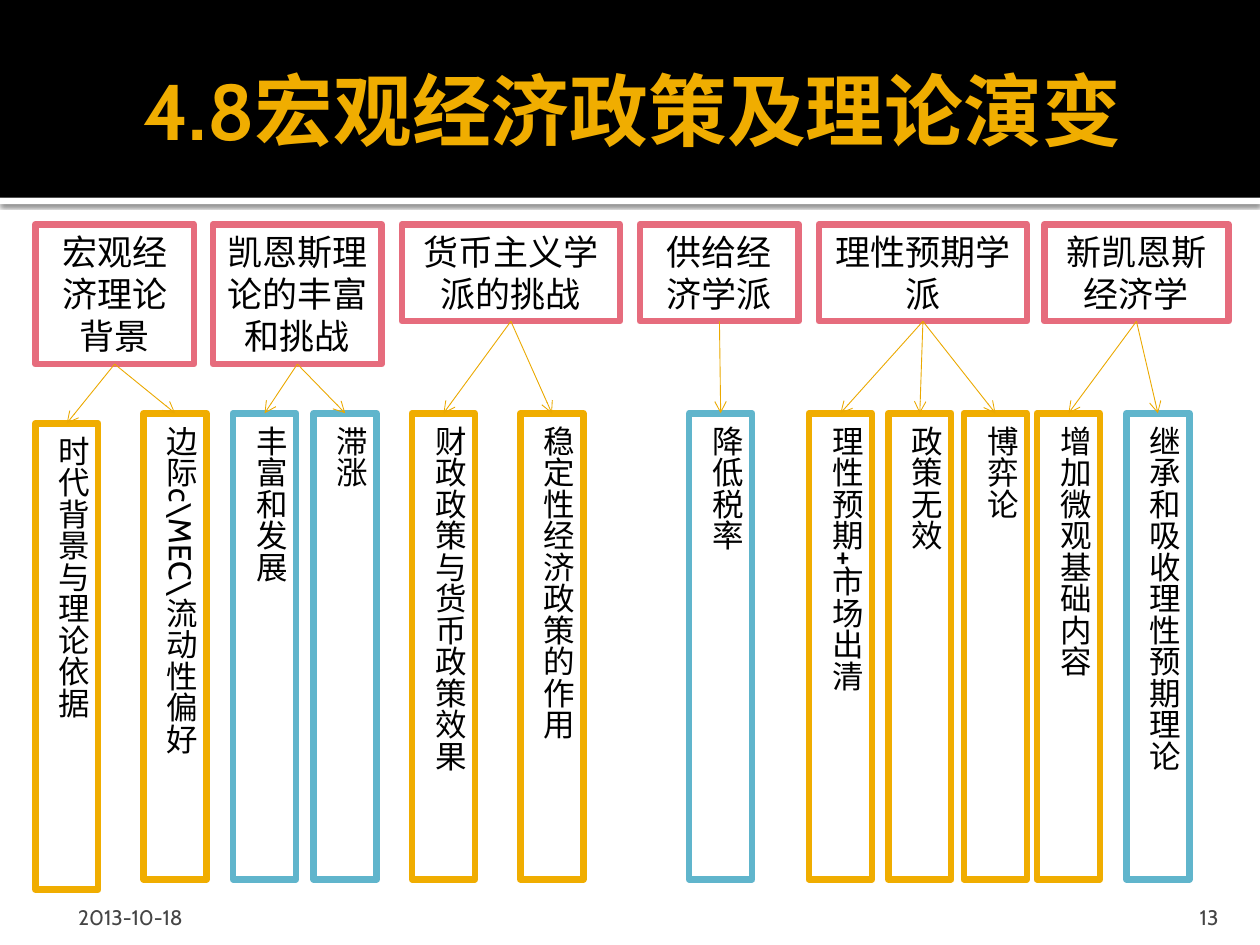
from dataclasses import dataclass

from lxml.etree import SubElement
from pptx import Presentation
from pptx.dml.color import RGBColor
from pptx.enum.shapes import MSO_CONNECTOR, MSO_SHAPE
from pptx.enum.text import MSO_ANCHOR, MSO_AUTO_SIZE, PP_ALIGN
from pptx.oxml.ns import qn
from pptx.shapes.autoshape import Shape
from pptx.slide import Slide
from pptx.text.text import TextFrame
from pptx.util import Inches, Pt

FONT = "Cabin"
BLACK, WHITE, GREY = "000000", "FFFFFF", "454545"
PINK, GOLD, BLUE, ARROW_GOLD = "E66C7D", "F0AD00", "60B5CC", "EBA900"

SCHOOL_TOP = 1.78
TOPIC_WIDTH, TOPIC_HEIGHT = 0.5, 3.7


@dataclass
class Topic:
    text: str
    left: float
    color: str = GOLD
    top: float = 3.28


@dataclass
class School:
    text: str
    left: float
    width: float
    height: float
    topics: list[Topic]


SCHOOLS = [
    School("宏观经济理论背景", 0.28, 1.26, 1.11, [
        Topic("时代背景与理论依据", 0.28, top=3.36),
        Topic("边际c\\MEC\\流动性偏好", 1.14)]),
    School("凯恩斯理论的丰富和挑战", 1.69, 1.34, 1.11, [
        Topic("丰富和发展", 1.85, BLUE),
        Topic("滞涨", 2.49, BLUE)]),
    School("货币主义学派的挑战", 3.19, 1.73, 0.77, [
        Topic("财政政策与货币政策效果", 3.27),
        Topic("稳定性经济政策的作用", 4.13)]),
    School("供给经济学派", 5.08, 1.26, 0.77, [
        Topic("降低税率", 5.47, BLUE)]),
    School("理性预期学派", 6.5, 1.65, 0.77, [
        Topic("理性预期+市场出清", 6.42),
        Topic("政策无效", 7.05),
        Topic("博弈论", 7.65)]),
    School("新凯恩斯经济学", 8.29, 1.46, 0.77, [
        Topic("增加微观基础内容", 8.23),
        Topic("继承和吸收理性预期理论", 8.94, BLUE)]),
]


def rgb(color: str) -> RGBColor:
    return RGBColor.from_string(color)


def write(frame: TextFrame, text: str, size: float, color: str,
          align: PP_ALIGN, bold: bool = False) -> None:
    frame.text = text
    frame.word_wrap = True
    paragraph = frame.paragraphs[0]
    paragraph.alignment = align
    font = paragraph.runs[0].font
    font.name, font.size, font.bold = FONT, Pt(size), bold
    font.color.rgb = rgb(color)


def set_insets(frame: TextFrame, left: float, top: float,
               right: float, bottom: float) -> None:
    frame.margin_left, frame.margin_top = Inches(left), Inches(top)
    frame.margin_right, frame.margin_bottom = Inches(right), Inches(bottom)


def add_rectangle(slide: Slide, left: float, top: float, width: float,
                  height: float, fill: str) -> Shape:
    rectangle = slide.shapes.add_shape(
        MSO_SHAPE.RECTANGLE, Inches(left), Inches(top), Inches(width), Inches(height))
    rectangle.shadow.inherit = False
    rectangle.fill.solid()
    rectangle.fill.fore_color.rgb = rgb(fill)
    rectangle.line.fill.background()
    return rectangle


def add_framed_text(slide: Slide, left: float, top: float, width: float, height: float,
                    border: str, text: str, size: float, align: PP_ALIGN) -> Shape:
    box = add_rectangle(slide, left, top, width, height, WHITE)
    box.line.color.rgb = rgb(border)
    box.line.width = Pt(3.78)
    write(box.text_frame, text, size, BLACK, align)
    box.text_frame.vertical_anchor = MSO_ANCHOR.TOP
    box.text_frame.auto_size = MSO_AUTO_SIZE.SHAPE_TO_FIT_TEXT
    return box


def add_arrow(slide: Slide, school_box: Shape, topic_box: Shape) -> None:
    arrow = slide.shapes.add_connector(MSO_CONNECTOR.STRAIGHT, 0, 0, 0, 0)
    arrow.begin_connect(school_box, 2)
    arrow.end_connect(topic_box, 0)
    arrow.line.color.rgb = rgb(ARROW_GOLD)
    arrow.line.width = Pt(0.5)
    properties = arrow.element.spPr
    SubElement(properties.find(qn("a:ln")), qn("a:tailEnd"), type="arrow")
    SubElement(properties, qn("a:effectLst"))


def add_school(slide: Slide, school: School) -> None:
    school_box = add_framed_text(slide, school.left, SCHOOL_TOP, school.width,
                                 school.height, PINK, school.text, 20, PP_ALIGN.CENTER)
    for topic in school.topics:
        topic_box = add_framed_text(slide, topic.left, topic.top, TOPIC_WIDTH,
                                    TOPIC_HEIGHT, topic.color, topic.text, 18,
                                    PP_ALIGN.LEFT)
        topic_box.element.txBody.bodyPr.set("vert", "eaVert")
        add_arrow(slide, school_box, topic_box)


def add_header(slide: Slide) -> None:
    # White strip with a soft shadow, then the black band, both behind the title
    strip = add_rectangle(slide, 0, 1.57, 10, 0.05, WHITE)
    effects = strip.element.spPr.find(qn("a:effectLst"))
    shadow = SubElement(effects, qn("a:outerShdw"), blurRad=str(Pt(2.5)),
                        dist=str(Pt(0.8)), dir="5400000", rotWithShape="0")
    shade = SubElement(shadow, qn("a:srgbClr"), val=BLACK)
    SubElement(shade, qn("a:alpha"), val="60000")
    band = add_rectangle(slide, 0, 0, 10, 1.57, BLACK)

    title = slide.shapes.title
    band.element.addnext(title.element)
    title.left, title.top = Inches(0.49), Inches(0.18)
    title.width, title.height = Inches(9), Inches(1.37)
    frame = title.text_frame
    write(frame, "4.8宏观经济政策及理论演变", 45, GOLD, PP_ALIGN.CENTER, bold=True)
    frame.vertical_anchor = MSO_ANCHOR.MIDDLE
    set_insets(frame, 0.1, 0.05, 0.05, 0.05)


def add_footer(slide: Slide, text: str, left: float, width: float, align: PP_ALIGN,
               left_inset: float, right_inset: float) -> None:
    footer = slide.shapes.add_textbox(Inches(left), Inches(7.08), Inches(width), Inches(0.3))
    frame = footer.text_frame
    write(frame, text, 12, GREY, align)
    frame.vertical_anchor = MSO_ANCHOR.BOTTOM
    set_insets(frame, left_inset, 0.05, right_inset, 0)


def main() -> None:
    presentation = Presentation()
    presentation.slide_width, presentation.slide_height = Inches(10), Inches(7.5)
    slide = presentation.slides.add_slide(presentation.slide_layouts[5])

    add_header(slide)

    # Date and page number
    add_footer(slide, "2013-10-18", 0.5, 2.33, PP_ALIGN.LEFT, 0.12, 0.05)
    add_footer(slide, "13", 8.97, 0.8, PP_ALIGN.RIGHT, 0.1, 0.1)

    # Schools of thought with their topics below
    for school in SCHOOLS:
        add_school(slide, school)

    presentation.save("out.pptx")


if __name__ == "__main__":
    main()
